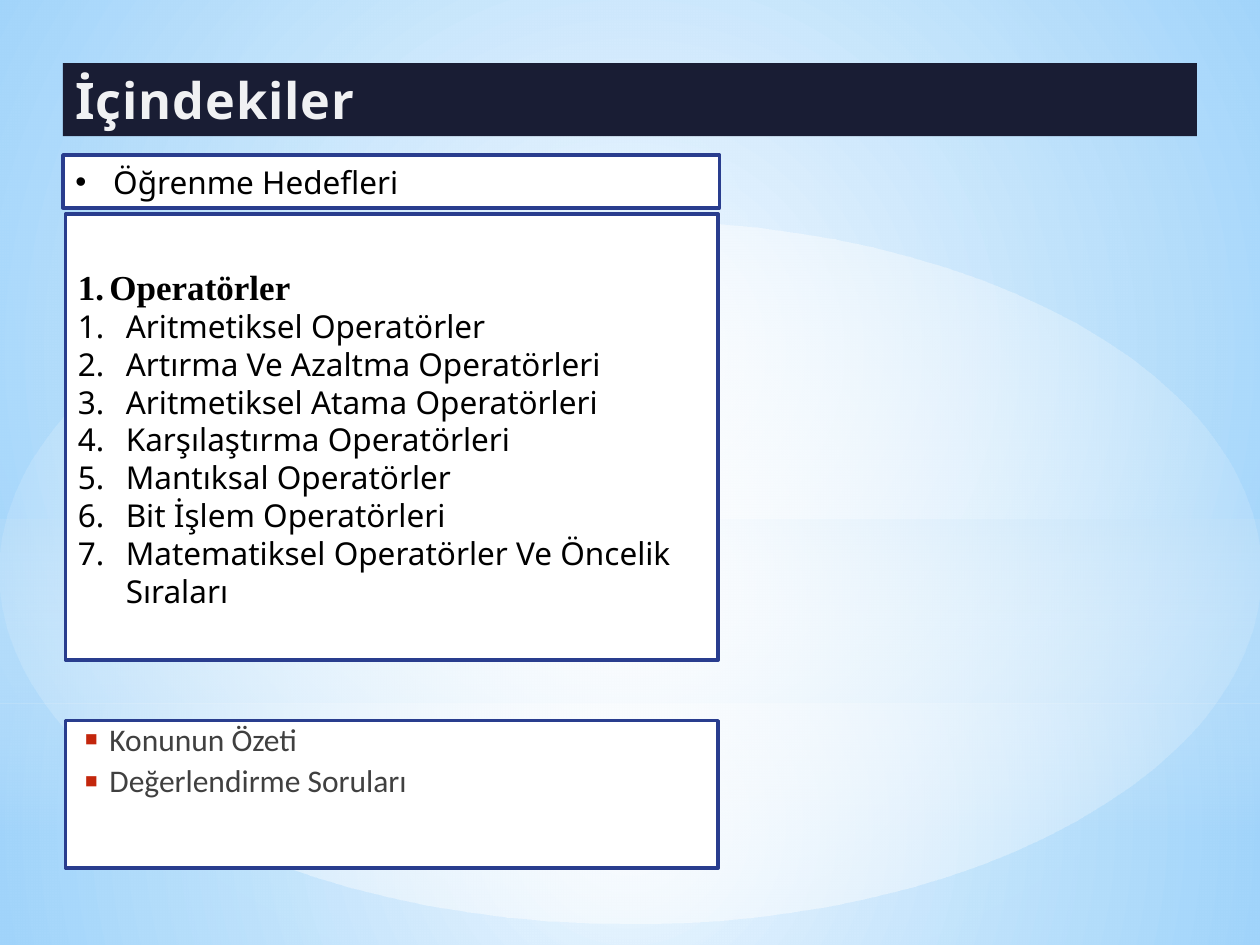
from lxml.etree import SubElement
from pptx import Presentation
from pptx.dml.color import RGBColor
from pptx.enum.shapes import MSO_SHAPE
from pptx.enum.text import MSO_ANCHOR, PP_ALIGN
from pptx.oxml.ns import qn
from pptx.util import Inches, Pt


def color(value):
    return RGBColor.from_string(value)


def add(parent, tag, **attributes):
    child = SubElement(parent, qn("a:" + tag))
    for name, value in attributes.items():
        child.set(name, str(value))
    return child


class SlideBuilder:
    NAVY, BLUE, WHITE, BLACK = "191D34", "293D8E", "FFFFFF", "000000"
    GREY, RED = "404040", "C3260C"
    FONT = "Noto Sans"

    def __init__(self, page):
        self.page = page

    def gradient(self, fill, owner, stops, center=None, angle=90):
        """Stops are (position, colour, opacity), all in percent."""
        fill.gradient()
        grad = owner.find(".//" + qn("a:gradFill"))
        for child in list(grad):
            grad.remove(child)
        stop_list = add(grad, "gsLst")
        for position, value, opacity in stops:
            stop = add(stop_list, "gs", pos=position * 1000)
            add(add(stop, "srgbClr", val=value), "alpha", val=opacity * 1000)
        if center:
            x, y = center
            path = add(grad, "path", path="circle")
            add(path, "fillToRect", l=x * 1000, t=y * 1000,
                r=(100 - x) * 1000, b=(100 - y) * 1000)
        else:
            add(grad, "lin", ang=angle * 60000, scaled=0)

    def background(self, inner, outer, center):
        self.gradient(self.page.background.fill, self.page.element,
                      [(0, inner, 100), (100, outer, 100)], center)

    def shape(self, kind, at):
        shape = self.page.shapes.add_shape(kind, *map(Inches, at))
        shape.shadow.inherit = False
        shape.line.fill.background()
        return shape

    def glow(self, kind, at, first, last, center=None):
        shape = self.shape(kind, at)
        self.gradient(shape.fill, shape.element, [(0, *first), (100, *last)], center)

    def panel(self, at, fill=WHITE, line=BLUE, anchor=MSO_ANCHOR.MIDDLE):
        box = self.shape(MSO_SHAPE.RECTANGLE, at)
        box.fill.solid()
        box.fill.fore_color.rgb = color(fill)
        if line:
            box.line.color.rgb = color(line)
            box.line.width = Pt(2)
        frame = box.text_frame
        frame.word_wrap = True
        frame.vertical_anchor = anchor
        return frame

    def text(self, frame, words, size=18, font=FONT, ink=BLACK, bold=False,
             align=PP_ALIGN.LEFT, level=0, tracking=None):
        para = frame.paragraphs[0]
        if para.runs:
            para = frame.add_paragraph()
        para.alignment = align
        para.level = level
        span = para.add_run()
        span.text = words
        span.font.name = font
        span.font.size = Pt(size)
        span.font.bold = bold
        span.font.color.rgb = color(ink)
        if tracking:
            span.font._element.set("spc", str(int(tracking * 100)))
        return para

    def bullet(self, para, margin, hang, mark=None, ink=BLACK, size=100):
        """Without a mark the paragraph is numbered."""
        props = para._p.get_or_add_pPr()
        props.set("marL", str(Inches(margin)))
        props.set("indent", str(-Inches(hang)))
        add(add(props, "buClr"), "srgbClr", val=ink)
        add(props, "buSzPct", val=size * 1000)
        if mark:
            add(props, "buFont", typeface="Arial")
            add(props, "buChar", char=mark)
        else:
            add(props, "buFont", typeface="+mj-lt")
            add(props, "buAutoNum", type="arabicPeriod")


deck = Presentation()
deck.slide_width, deck.slide_height = Inches(10), Inches(7.5)
page = deck.slides.add_slide(deck.slide_layouts[6])
slide = SlideBuilder(page)

# Background light
SKY, MIDDLE = "B4DCFA", (50, 50)
RECT, OVAL = MSO_SHAPE.RECTANGLE, MSO_SHAPE.OVAL
slide.background("9CD4FF", "5BB9FF", (50, 25))
slide.glow(RECT, (0, 5.58, 10, 1.92), ("FFFFFF", 91), (SKY, 79), MIDDLE)
slide.glow(RECT, (0, 0, 10, 5.58), ("FFFFFF", 89), (SKY, 79), MIDDLE)
slide.glow(RECT, (0, 4.12, 10, 2.5), (SKY, 60), ("FFFFFF", 0))
slide.glow(OVAL, (0, 1.75, 10, 5.58), ("FFFFFF", 100), ("FFFFFF", 0), MIDDLE)

# Summary and questions
closing = slide.panel((0.52, 5.72, 5.18, 1.17), anchor=MSO_ANCHOR.TOP)
for words in ("Konunun Özeti", "Değerlendirme Soruları"):
    para = slide.text(closing, words, font="Calibri", ink=slide.GREY)
    para.line_spacing = 0.8
    para.space_before, para.space_after = Pt(3.6), Pt(3)
    slide.bullet(para, 0.25, 0.2, "▪", slide.RED, 130)

# Topics
topics = slide.panel((0.52, 1.7, 5.18, 3.54))
heading = slide.text(topics, "Operatörler", 20, "Times New Roman", bold=True, level=1)
slide.bullet(heading, 0.25, 0.25)
for words in (
    "Aritmetiksel Operatörler",
    "Artırma Ve Azaltma Operatörleri",
    "Aritmetiksel Atama Operatörleri",
    "Karşılaştırma Operatörleri",
    "Mantıksal Operatörler",
    "Bit İşlem Operatörleri",
    "Matematiksel Operatörler Ve Öncelik Sıraları",
):
    slide.bullet(slide.text(topics, words), 0.38, 0.38)

# Learning goals
goals = slide.panel((0.5, 1.23, 5.21, 0.42))
para = slide.text(goals, "Öğrenme Hedefleri", align=PP_ALIGN.JUSTIFY)
slide.bullet(para, 0.3, 0.3, "•")

# Title
title = slide.panel((0.5, 0.5, 9, 0.58), slide.NAVY, None)
slide.text(title, "İçindekiler", 28.8, ink="F0F1F3", bold=True, tracking=0.5)

deck.save("out.pptx")
